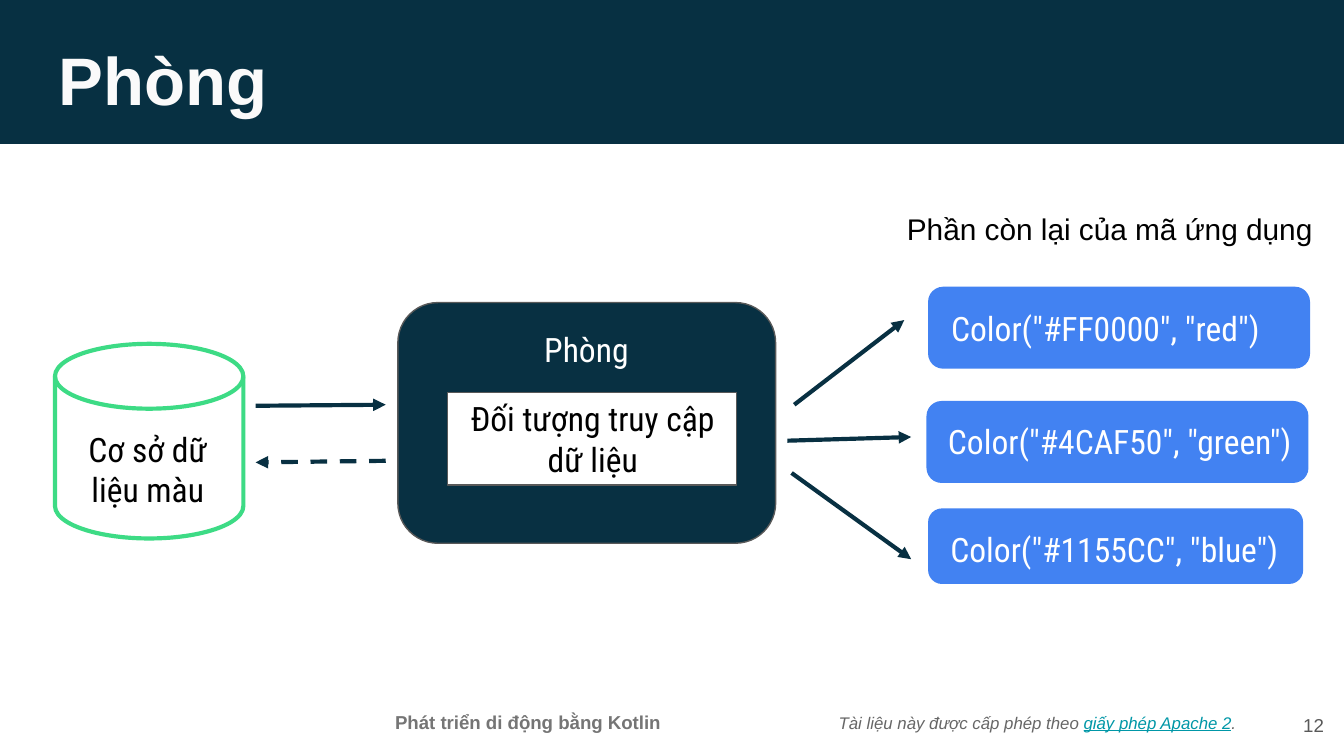
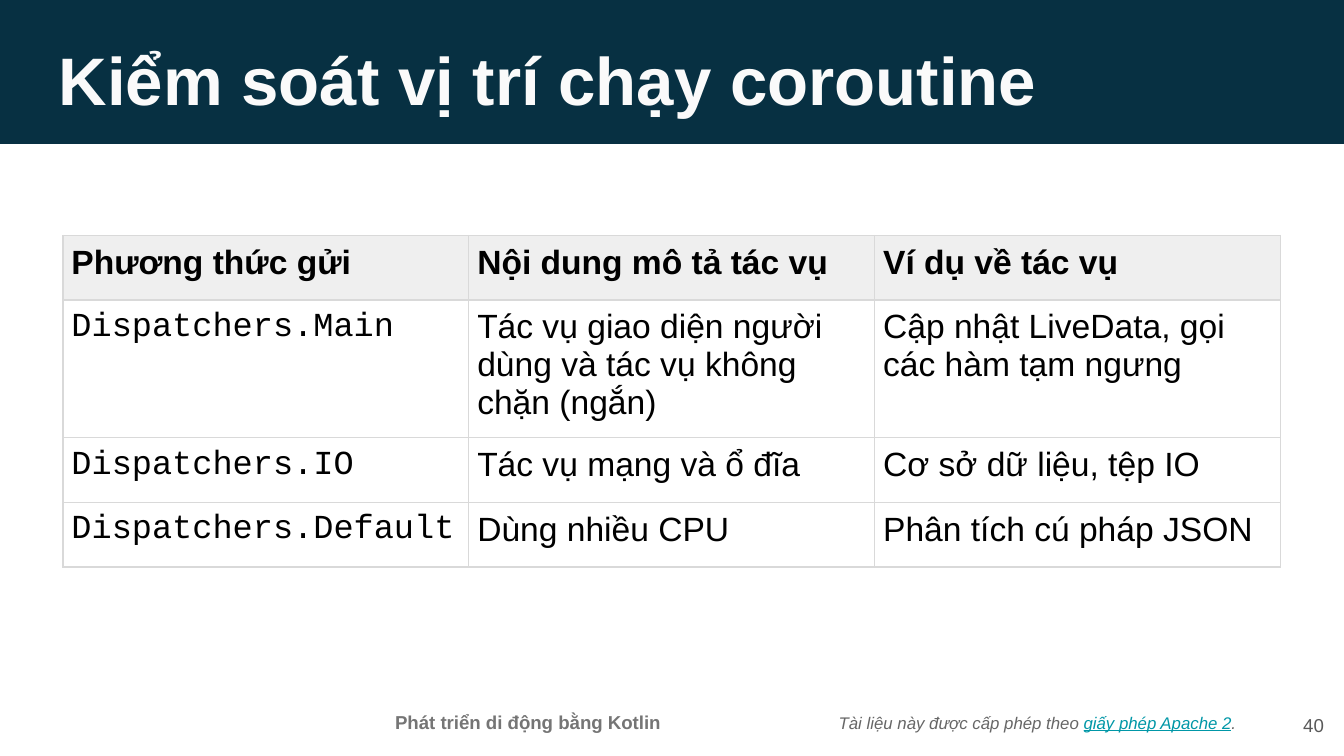
from lxml import etree
from pptx import Presentation
from pptx.dml.color import RGBColor
from pptx.enum import dml, shapes, text
from pptx.oxml.ns import qn
from pptx.util import Cm, Pt

SANS, MONO, SLIM = "Arial", "Courier New", "Roboto Condensed"
NAVY, ROOM, BLUE, GREEN = "073042", "083042", "4282F2", "3DDB85"
GREY, WHITE, BLACK = "595959", "FFFFFF", "000000"
MUTED, LINK, RULE, HEAD = "666666", "0097A7", "D9D9D9", "EFEFEF"
LEFT, MID, RIGHT = text.PP_ALIGN.LEFT, text.PP_ALIGN.CENTER, text.PP_ALIGN.RIGHT
KIND = shapes.MSO_SHAPE

COURSE = "Phát triển di động bằng Kotlin"
LICENCE = [
    ("Tài liệu này được cấp phép theo ", {"color": MUTED}),
    ("giấy phép Apache 2", {"color": LINK, "line": True}),
    (".", {"color": MUTED}),
]

# Lengths are in centimetres: left, top, width, height.
COLORS = [
    ('Color("#FF0000", "red")', (17.58, 5.46, 7.14, 1.47), (17.15, 5.59)),
    ('Color("#4CAF50", "green")', (17.55, 7.62, 7.14, 1.47), (17.42, 7.72)),
    ('Color("#1155CC", "blue")', (17.58, 9.65, 7.01, 1.35), (17.32, 9.75)),
]
LABEL = (7.49, 1.24)

# Start, end, dashed
ARROWS = [
    ((15.01, 7.65), (17.09, 6.05), False),
    ((14.88, 8.33), (17.22, 8.26), False),
    ((14.96, 8.94), (17.22, 10.57), False),
    ((4.83, 7.67), (7.29, 7.65), False),
    ((7.29, 8.71), (4.83, 8.74), True),
]

TASKS = [
    ("Phương thức gửi", "Nội dung mô tả tác vụ", "Ví dụ về tác vụ"),
    ("Dispatchers.Main",
     "Tác vụ giao diện người dùng và tác vụ không chặn (ngắn)",
     "Cập nhật LiveData, gọi các hàm tạm ngưng"),
    ("Dispatchers.IO", "Tác vụ mạng và ổ đĩa", "Cơ sở dữ liệu, tệp IO"),
    ("Dispatchers.Default", "Dùng nhiều CPU", "Phân tích cú pháp JSON"),
]
ROWS = [1.22, 1.75, 1.22, 1.22]
COL = 7.67


def rgb(code):
    return RGBColor.from_string(code)


def write(para, words, size, color=BLACK, face=SANS, bold=False,
          slant=False, line=False):
    run = para.add_run()
    run.text = words
    font = run.font
    font.name, font.size = face, Pt(size)
    font.bold, font.italic, font.underline = bold, slant, line
    font.color.rgb = rgb(color)


def frame(slide, box, align=LEFT, center=False):
    """Add an empty text box and return its first paragraph."""
    area = slide.shapes.add_textbox(*map(Cm, box)).text_frame
    area.word_wrap = True
    area.margin_left = area.margin_right = Cm(0.25)
    area.margin_top = area.margin_bottom = Cm(0.25)
    area.vertical_anchor = text.MSO_ANCHOR.MIDDLE if center else text.MSO_ANCHOR.TOP
    para = area.paragraphs[0]
    para.alignment = align
    return para


def block(slide, kind, box, fill=None, line=None, width=0.75):
    shape = slide.shapes.add_shape(kind, *map(Cm, box))
    shape.shadow.inherit = False
    if fill:
        shape.fill.solid()
        shape.fill.fore_color.rgb = rgb(fill)
    else:
        shape.fill.background()
    if line:
        shape.line.color.rgb = rgb(line)
        shape.line.width = Pt(width)
    else:
        shape.line.fill.background()


def arrow(slide, start, end, dashed):
    link = slide.shapes.add_connector(
        shapes.MSO_CONNECTOR.STRAIGHT, *map(Cm, start + end))
    link.line.color.rgb = rgb(ROOM)
    link.line.width = Pt(2.25)
    if dashed:
        link.line.dash_style = dml.MSO_LINE.DASH
    props = link._element.spPr
    etree.SubElement(props.find(qn("a:ln")), qn("a:tailEnd"), type="triangle")
    etree.SubElement(props, qn("a:effectLst"))


def border(cell):
    props = cell._tc.get_or_add_tcPr()
    for i, side in enumerate(("lnL", "lnR", "lnT", "lnB")):
        edge = etree.Element(qn("a:" + side), w=str(Pt(0.75)))
        fill = etree.SubElement(edge, qn("a:solidFill"))
        etree.SubElement(fill, qn("a:srgbClr"), val=RULE)
        props.insert(i, edge)


def base(deck, title, number):
    """Add a slide with the band, title and footers."""
    slide = deck.slides.add_slide(deck.slide_layouts[6])
    para = frame(slide, (15.6, 13.06, 8.64, 1.19), center=True)
    for words, style in LICENCE:
        write(para, words, 9, slant=True, **style)
    block(slide, KIND.RECTANGLE, (-0.03, -0.1, 25.43, 2.82), NAVY)
    write(frame(slide, (6.38, 13.23, 7.19, 0.81), MID), COURSE, 10, "757575", bold=True)
    write(frame(slide, (0.86, 0.48, 23.67, 1.6)), title, 36, "FAFAFA", bold=True)
    write(frame(slide, (23.75, 13.16, 1.52, 1.09), RIGHT, True), number, 10, GREY)
    return slide


def room(deck):
    slide = base(deck, "Phòng", "12")

    def label(words, box, color, center=True):
        write(frame(slide, box, MID, center), words, 18, color, SLIM)

    for words, box, spot in COLORS:
        block(slide, KIND.ROUNDED_RECTANGLE, box, BLUE, BLUE, 2.25)
        label(words, spot + LABEL, WHITE)
    write(frame(slide, (16.89, 3.73, 8.5, 1.47)), "Phần còn lại của mã ứng dụng", 16)

    block(slide, KIND.ROUNDED_RECTANGLE, (7.52, 5.72, 7.14, 4.55), ROOM, GREY)
    label("Phòng", (9.09, 6.15, 3.99, 0.89), WHITE)
    block(slide, KIND.RECTANGLE, (8.46, 7.42, 5.46, 1.75), WHITE, GREY)
    label("Đối tượng truy cập dữ liệu", (8.26, 7.26, 5.89, 2.06), BLACK)

    block(slide, KIND.FLOWCHART_MAGNETIC_DISK, (1.04, 6.5, 3.56, 3.68),
          line=GREEN, width=2.25)
    label("Cơ sở dữ liệu màu", (1.12, 7.85, 3.35, 2.06), BLACK, False)

    for start, end, dashed in ARROWS:
        arrow(slide, start, end, dashed)


def tasks(deck):
    slide = base(deck, "Kiểm soát vị trí chạy coroutine", "40")
    count = len(TASKS[0])
    grid = slide.shapes.add_table(
        len(TASKS), count, Cm(1.19), Cm(4.45), Cm(COL * count), Cm(sum(ROWS))).table
    for col in grid.columns:
        col.width = Cm(COL)
    for r, (row, high) in enumerate(zip(TASKS, ROWS)):
        grid.rows[r].height = Cm(high)
        for c, words in enumerate(row):
            cell = grid.cell(r, c)
            cell.margin_left = cell.margin_right = Cm(0.16)
            cell.margin_top = cell.margin_bottom = Cm(0.16)
            if r == 0:
                cell.fill.solid()
                cell.fill.fore_color.rgb = rgb(HEAD)
            else:
                cell.fill.background()
            border(cell)
            code = r > 0 and c == 0
            para = cell.text_frame.paragraphs[0]
            if code:
                para.space_after = Pt(6)
            write(para, words, 18, face=MONO if code else SANS, bold=r == 0)


def main():
    deck = Presentation()
    deck.slide_width, deck.slide_height = Cm(25.4), Cm(14.29)
    room(deck)
    tasks(deck)
    deck.save("out.pptx")


if __name__ == "__main__":
    main()
